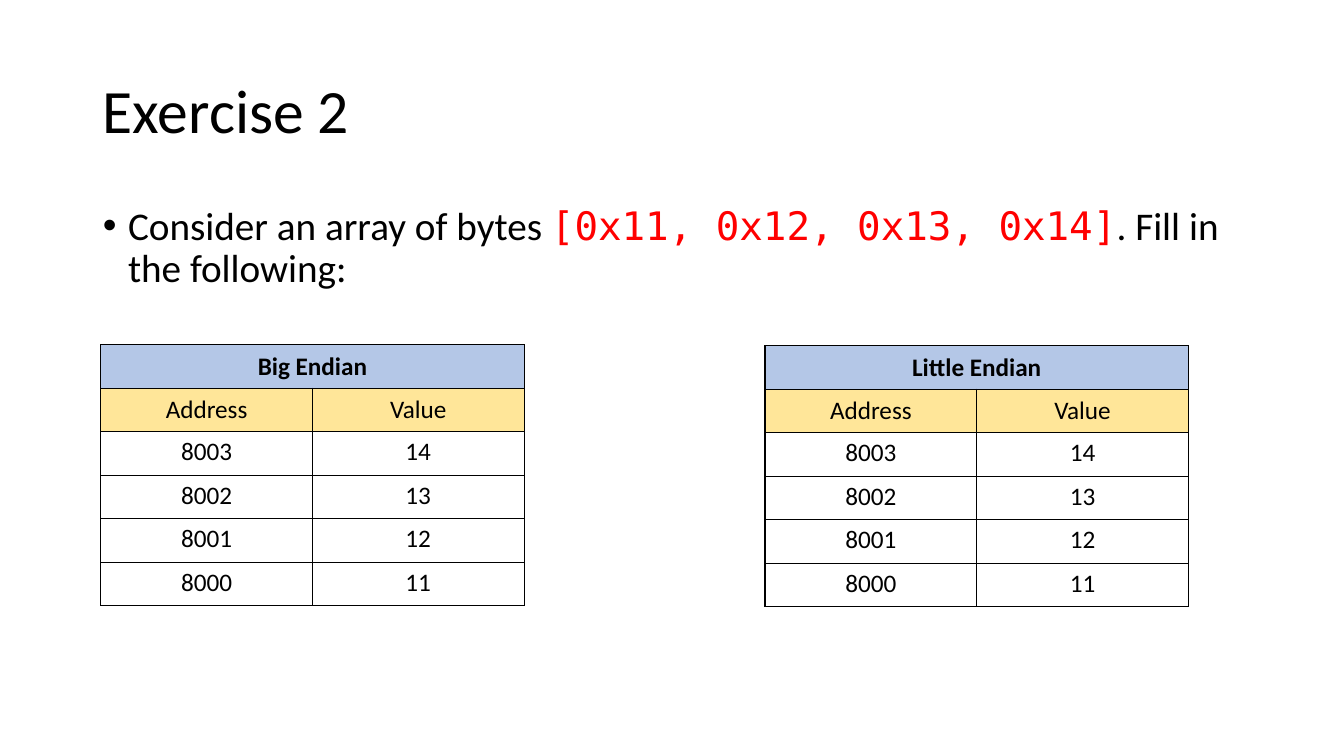
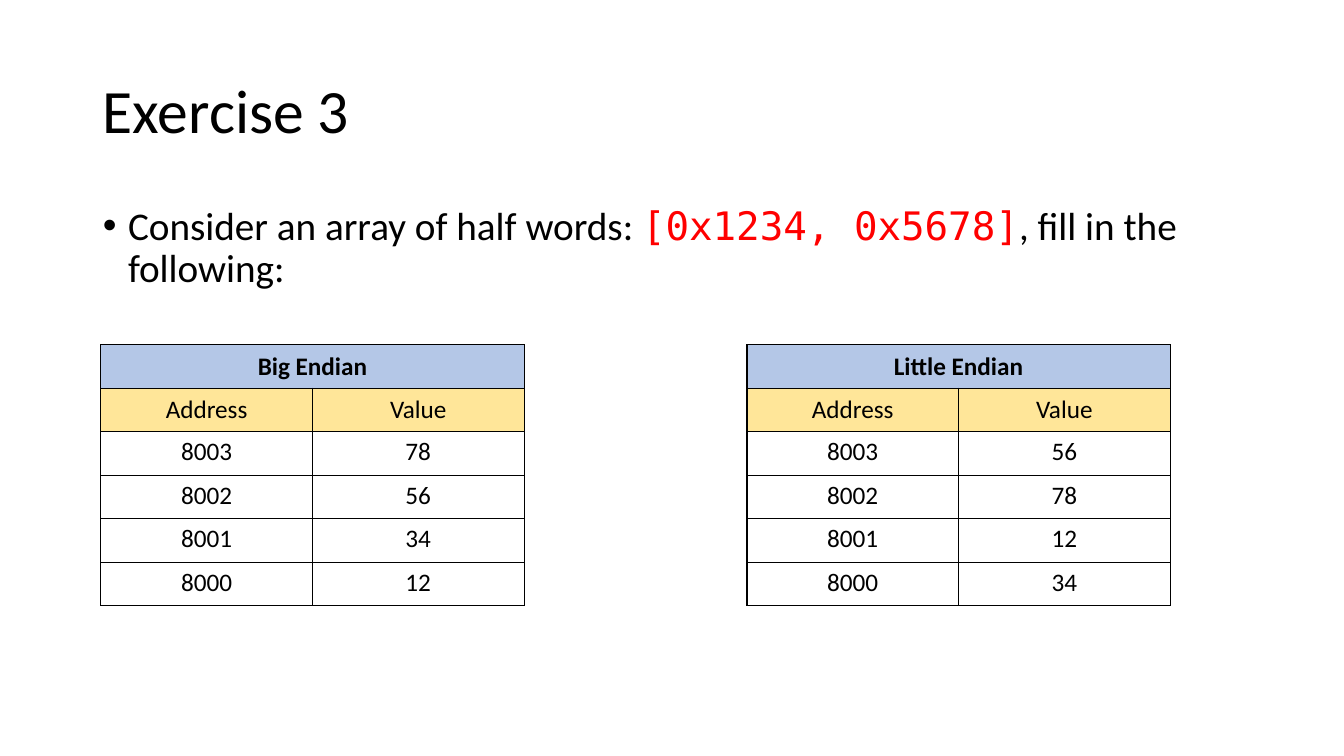
from dataclasses import dataclass
from itertools import product

from lxml import etree
from pptx import Presentation
from pptx import util as u
from pptx.dml import color as col
from pptx.enum import text as t
from pptx.oxml import ns

BLACK = col.RGBColor(0x00, 0x00, 0x00)
RED = col.RGBColor(0xFF, 0x00, 0x00)
BLUE = col.RGBColor(0xB4, 0xC7, 0xE7)
GOLD = col.RGBColor(0xFF, 0xE6, 0x99)
SANS = "Calibri"
MONO = "DejaVu Sans Mono"

LEFT, WIDE = 66.24, 828
COL, ROW = 151.2, 31.08
CELLS = ("8003", "8002", "8001", "8000")


@dataclass(frozen=True)
class Grid:
    name: str
    left: float
    top: float
    bytes: tuple[str, ...]


@dataclass(frozen=True)
class Task:
    title: str
    lead: str
    code: str
    tail: str
    tall: float
    grids: tuple[Grid, ...]


TASKS = (
    Task("Exercise 2", "Consider an array of bytes ",
         "[0x11, 0x12, 0x13, 0x14]", ". Fill in the following:", 78.48,
         (Grid("Big Endian", 72, 246.24, ("14", "13", "12", "11")),
          Grid("Little Endian", 546.48, 246.96, ("14", "13", "12", "11")))),
    Task("Exercise 3", "Consider an array of half words: ",
         "[0x1234, 0x5678]", ", fill in the following:", 75.6,
         (Grid("Big Endian", 72, 246.24, ("78", "56", "34", "12")),
          Grid("Little Endian", 533.52, 246.24, ("56", "78", "12", "34")))),
)


def write(para, text: str, *, size: float, font: str = SANS,
          color: col.RGBColor = BLACK, bold: bool = False) -> None:
    run = para.add_run()
    run.text = text
    run.font.size = u.Pt(size)
    run.font.name = font
    run.font.color.rgb = color
    run.font.bold = bold


def place(holder, top: float, tall: float, anchor: t.MSO_ANCHOR):
    holder.left, holder.top = u.Pt(LEFT), u.Pt(top)
    holder.width, holder.height = u.Pt(WIDE), u.Pt(tall)
    frame = holder.text_frame
    frame.auto_size = t.MSO_AUTO_SIZE.NONE
    frame.vertical_anchor = anchor
    para = frame.paragraphs[0]
    para.alignment = t.PP_ALIGN.LEFT
    para.line_spacing = 0.9
    return para


def border(cell) -> None:
    props = cell._tc.get_or_add_tcPr()
    for side in ("a:lnL", "a:lnR", "a:lnT", "a:lnB"):
        line = etree.SubElement(props, ns.qn(side), w=str(u.Pt(1)))
        fill = etree.SubElement(line, ns.qn("a:solidFill"))
        etree.SubElement(fill, ns.qn("a:srgbClr"), val=str(BLACK))


def draw_grid(slide, grid: Grid) -> None:
    rows = ((grid.name, ""), ("Address", "Value"), *zip(CELLS, grid.bytes))
    table = slide.shapes.add_table(
        len(rows), 2, u.Pt(grid.left), u.Pt(grid.top),
        u.Pt(2 * COL), u.Pt(len(rows) * ROW)).table
    table.first_row = table.horz_banding = False
    table.cell(0, 0).merge(table.cell(0, 1))
    fills = {0: BLUE, 1: GOLD}
    for row, column in product(range(len(rows)), range(2)):
        cell = table.cell(row, column)
        border(cell)
        if row in fills:
            cell.fill.solid()
            cell.fill.fore_color.rgb = fills[row]
            cell.vertical_anchor = t.MSO_ANCHOR.MIDDLE
        else:
            cell.fill.background()
        if not cell.is_spanned:
            para = cell.text_frame.paragraphs[0]
            para.alignment = t.PP_ALIGN.CENTER
            write(para, rows[row][column], size=18, bold=row == 0)


def draw_task(deck, task: Task) -> None:
    slide = deck.slides.add_slide(deck.slide_layouts[1])
    title, body = slide.placeholders
    write(place(title, 28.8, 104.4, t.MSO_ANCHOR.MIDDLE), task.title, size=44)

    para = place(body, 144, task.tall, t.MSO_ANCHOR.TOP)
    para.space_before = u.Pt(10)
    props = para._p.get_or_add_pPr()
    props.set("marL", str(u.Pt(18)))
    props.set("indent", str(u.Pt(-18)))
    write(para, task.lead, size=28)
    write(para, task.code, size=28, font=MONO, color=RED)
    write(para, task.tail, size=28)

    for grid in task.grids:
        draw_grid(slide, grid)


def main() -> None:
    deck = Presentation()
    deck.slide_width, deck.slide_height = u.Pt(960), u.Pt(540)
    for task in TASKS:
        draw_task(deck, task)
    deck.save("out.pptx")


main()
